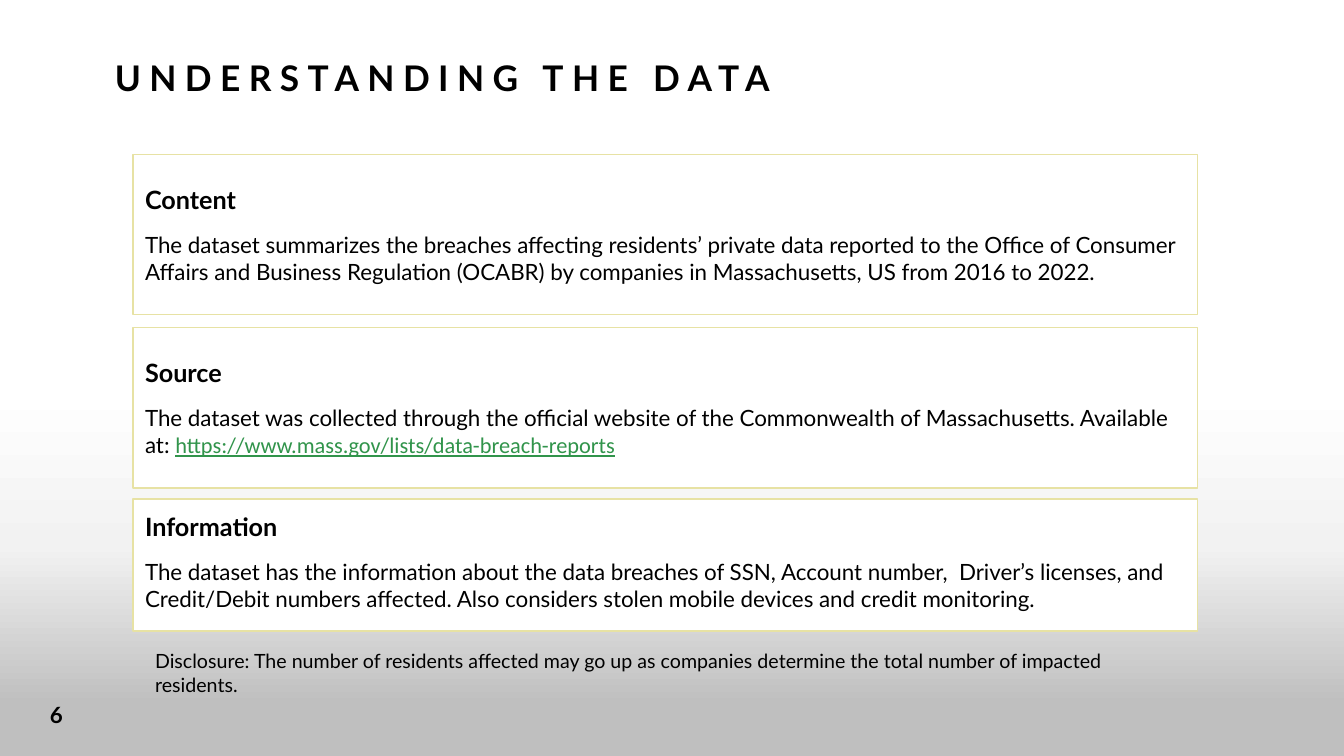
from copy import deepcopy

from pptx import Presentation
from pptx.dml.color import RGBColor
from pptx.enum.shapes import MSO_SHAPE
from pptx.enum.text import MSO_ANCHOR, PP_ALIGN
from pptx.util import Pt

RECTANGLE = MSO_SHAPE.RECTANGLE
TOP, MIDDLE, BOTTOM = MSO_ANCHOR.TOP, MSO_ANCHOR.MIDDLE, MSO_ANCHOR.BOTTOM
LEFT, CENTER = PP_ALIGN.LEFT, PP_ALIGN.CENTER

# Content
COLORS = {"text": "000000", "card": "FFFFFF", "border": "E7E2A4", "link": "31944B"}
GRADIENT = [(0.14, "BFBFBF"), (0.57, "F2F2F2"), (1, "FFFFFF")]
TITLE = "UNDERSTANDING THE DATA"
# heading, body, link, top, height, anchor, top inset
CARDS = [
    ("Content",
     "The dataset summarizes the breaches affecting residents’ private data reported to the "
     "Office of Consumer Affairs and Business Regulation (OCABR) by companies in "
     "Massachusetts, US from 2016 to 2022.",
     "", 110.2, 114.5, MIDDLE, 3.6),
    ("Source",
     "The dataset was collected through the official website of the Commonwealth of "
     "Massachusetts. Available at: ",
     "https://www.mass.gov/lists/data-breach-reports", 234, 114.5, MIDDLE, 3.6),
    ("Information",
     "The dataset has the information about the data breaches of SSN, Account number,  "
     "Driver’s licenses, and Credit/Debit numbers affected. Also considers stolen mobile "
     "devices and credit monitoring.",
     "", 356.4, 94.3, TOP, 8.64),
]
DISCLOSURE = ("Disclosure: The number of residents affected may go up as companies determine "
              "the total number of impacted residents.")
PAGE_NUMBER = "6"
CARD_LEFT, CARD_WIDTH, CARD_INSET = 95, 760.3, 8.64

presentation = Presentation()
presentation.slide_width, presentation.slide_height = Pt(960), Pt(540)
slide = presentation.slides.add_slide(presentation.slide_layouts[6])


def add_run(paragraph, text, size=16, bold=False, color="text", font="Lato",
            underline=False, tracking=0):
    run = paragraph.add_run()
    run.text = text
    run.font.name, run.font.size = font, Pt(size)
    run.font.bold, run.font.underline = bold, underline
    run.font.color.rgb = RGBColor.from_string(COLORS[color])
    if tracking:
        run.font._element.set("spc", str(tracking * 100))


def add_rectangle(left, top, width, height):
    shape = slide.shapes.add_shape(RECTANGLE, Pt(left), Pt(top), Pt(width), Pt(height))
    shape.shadow.inherit = False
    return shape


def add_label(box, text, anchor=TOP, align=LEFT, line_spacing=1.0, **run_format):
    frame = slide.shapes.add_textbox(*map(Pt, box)).text_frame
    frame.word_wrap = True
    frame.vertical_anchor = anchor
    paragraph = frame.paragraphs[0]
    paragraph.alignment, paragraph.line_spacing = align, line_spacing
    add_run(paragraph, text, **run_format)


# Background fade, dark at the bottom
fade = add_rectangle(0, 276.5, 960, 263.5)
fade.line.fill.background()
fade.fill.gradient()
fade.fill.gradient_angle = 90
first_stop = fade.fill._xPr.gradFill.gsLst[0]
first_stop.addnext(deepcopy(first_stop))
for stop, (position, color) in zip(fade.fill.gradient_stops, GRADIENT):
    stop.position = position
    stop.color.rgb = RGBColor.from_string(color)

# Title
add_label((74.9, 40.3, 810, 33.8), TITLE, anchor=BOTTOM, line_spacing=1.2,
          size=25.2, bold=True, tracking=6)

# Cards
for heading, body, link, top, height, anchor, top_inset in CARDS:
    card = add_rectangle(CARD_LEFT, top, CARD_WIDTH, height)
    card.fill.solid()
    card.fill.fore_color.rgb = RGBColor.from_string(COLORS["card"])
    card.line.color.rgb = RGBColor.from_string(COLORS["border"])
    card.line.width = Pt(1)
    frame = card.text_frame
    frame.word_wrap = True
    frame.vertical_anchor = anchor
    frame.margin_left = frame.margin_right = Pt(CARD_INSET)
    frame.margin_top, frame.margin_bottom = Pt(top_inset), Pt(3.6)
    heading_paragraph, body_paragraph = frame.paragraphs[0], frame.add_paragraph()
    heading_paragraph.alignment = body_paragraph.alignment = LEFT
    body_paragraph.space_before = Pt(12)
    add_run(heading_paragraph, heading, size=18, bold=True)
    add_run(body_paragraph, body)
    if link:
        add_run(body_paragraph, link, font="Calibri", color="link", underline=True)

# Disclosure and page number
add_label((103.7, 460.1, 748.8, 24.5), DISCLOSURE, size=14)
add_label((19.4, 496.1, 41.8, 28.8), PAGE_NUMBER, anchor=MIDDLE, align=CENTER, bold=True)

presentation.save("out.pptx")
